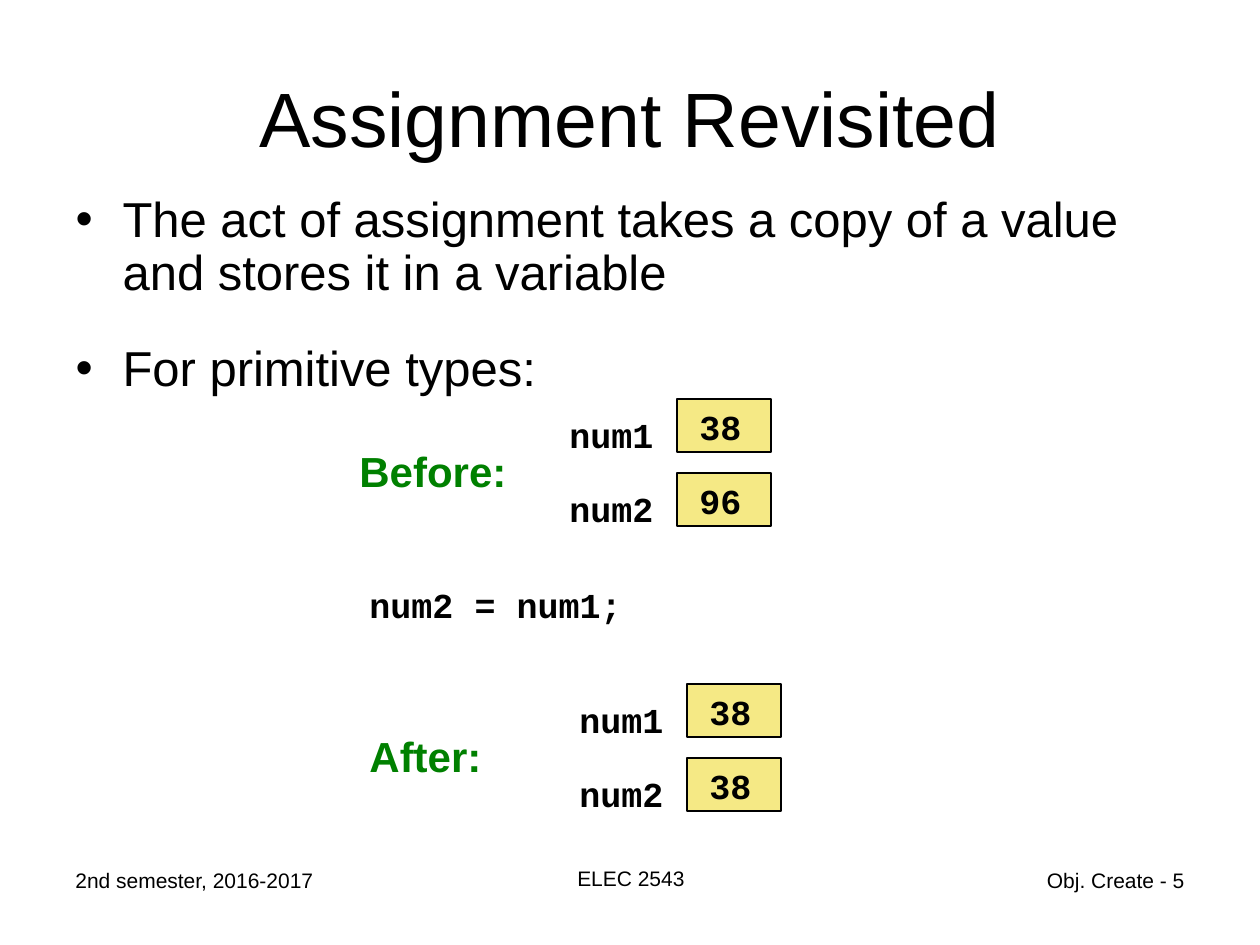
"""Build the slide on assignment of primitive types."""
import pptx
import pptx.dml.color
import pptx.enum.shapes
import pptx.enum.text
import pptx.oxml.ns
import pptx.util
import lxml.etree

ALIGN = pptx.enum.text.PP_ALIGN
ANCHOR = pptx.enum.text.MSO_ANCHOR
AUTO_SIZE = pptx.enum.text.MSO_AUTO_SIZE
SCALE = 914400 / 126
BLACK, GREEN, YELLOW = "000000", "008000", "F5E985"
SANS, MONO = "Arial", "Courier New"

TITLE = "Assignment Revisited"
BULLETS = [
    "The act of assignment takes a copy of a value and stores it in a variable",
    "For primitive types:",
]
STATES = [
    ("Before:", 677, 399, [("num1", "38"), ("num2", "96")]),
    ("After:", 687, 684, [("num1", "38"), ("num2", "38")]),
]
STATEMENT = "num2 = num1;"
FOOTERS = [
    ("2nd semester, 2016-2017", (63, 861, 294, 66), ALIGN.LEFT),
    ("ELEC 2543", (431, 859, 400, 66), ALIGN.CENTER),
    ("Obj. Create - 5", (903, 861, 294, 66), ALIGN.RIGHT),
]
ROW_PITCH = 74


def px(*lengths):
    return [pptx.util.Emu(round(length * SCALE)) for length in lengths]


def color(value):
    return pptx.dml.color.RGBColor.from_string(value)


def add_run(paragraph, text, size, font=SANS, fill=BLACK, bold=False):
    run = paragraph.add_run()
    run.text = text
    run.font.size = pptx.util.Pt(size)
    run.font.name = font
    run.font.bold = bold
    run.font.color.rgb = color(fill)


def add_text(shapes, text, box, size, align=ALIGN.LEFT, **style):
    frame = shapes.add_textbox(*px(*box)).text_frame
    frame.word_wrap = True
    frame.auto_size = AUTO_SIZE.NONE
    paragraph = frame.paragraphs[0]
    paragraph.alignment = align
    add_run(paragraph, text, size, **style)


def place(placeholder, box, anchor):
    placeholder.left, placeholder.top, placeholder.width, placeholder.height = px(*box)
    frame = placeholder.text_frame
    frame.auto_size = AUTO_SIZE.NONE
    frame.vertical_anchor = anchor
    return frame


def add_bullets(frame, items):
    for index, item in enumerate(items):
        paragraph = frame.add_paragraph() if index else frame.paragraphs[0]
        paragraph.line_spacing = 0.9
        paragraph.space_before = pptx.util.Pt(24.5 if index else 0)
        properties = paragraph._p.get_or_add_pPr()
        indent = px(47)[0]
        properties.set("marL", str(indent))
        properties.set("indent", str(-indent))
        bullet = lxml.etree.SubElement(properties, pptx.oxml.ns.qn("a:buChar"))
        bullet.set("char", "•")
        add_run(paragraph, item, 28)


def add_state(slide, label, left, top, variables):
    shapes = slide.shapes.add_group_shape().shapes
    for row, (name, value) in enumerate(variables):
        y = top + row * ROW_PITCH
        cell = shapes.add_shape(
            pptx.enum.shapes.MSO_SHAPE.RECTANGLE, *px(left, y, 94, 53))
        cell.shadow.inherit = False
        cell.fill.solid()
        cell.fill.fore_color.rgb = color(YELLOW)
        cell.line.color.rgb = color(BLACK)
        cell.line.width = pptx.util.Pt(0.75)
        add_text(shapes, name, (left - 120, y + 8, 114, 55), 20, font=MONO, bold=True)
        add_text(shapes, value, (left + 10, y, 72, 55), 20, font=MONO, bold=True)
    add_text(shapes, label, (left - 330, top + 40, 180, 63), 24, fill=GREEN, bold=True)


def main():
    presentation = pptx.Presentation()
    presentation.slide_width, presentation.slide_height = px(1260, 945)
    slide = presentation.slides.add_slide(presentation.slide_layouts[1])

    title = place(slide.shapes.title, (63, 38, 1134, 157), ANCHOR.MIDDLE)
    title.paragraphs[0].alignment = ALIGN.CENTER
    add_run(title.paragraphs[0], TITLE, 44)
    body = place(slide.placeholders[1], (63, 189, 1144, 214), ANCHOR.TOP)
    add_bullets(body, BULLETS)

    for state in STATES:
        add_state(slide, *state)
    add_text(slide.shapes, STATEMENT, (357, 577, 286, 55), 20, font=MONO, bold=True)
    for text, box, align in FOOTERS:
        add_text(slide.shapes, text, box, 12, align)
    presentation.save("out.pptx")


if __name__ == "__main__":
    main()
